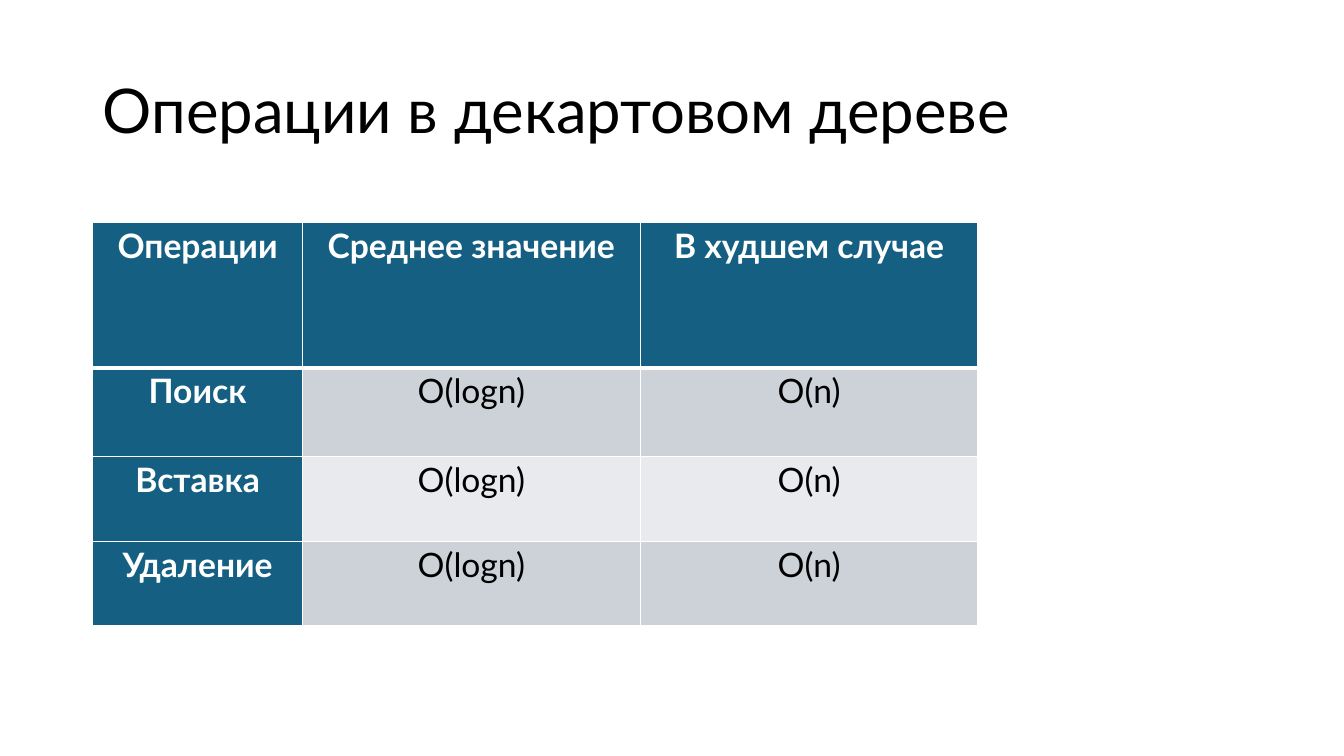
from lxml.etree import SubElement
from pptx import Presentation
from pptx.dml.color import RGBColor
from pptx.enum.text import MSO_ANCHOR, PP_ALIGN
from pptx.oxml.ns import qn
from pptx.util import Inches, Pt

BLACK = RGBColor(0x00, 0x00, 0x00)
WHITE = RGBColor(0xFF, 0xFF, 0xFF)
TEAL = RGBColor(0x15, 0x60, 0x82)
BANDS = (RGBColor(0xCC, 0xD2, 0xD8), RGBColor(0xE8, 0xEA, 0xED))

FONT = "Lato"
WIDTH, HEIGHT = Inches(13.33), Inches(7.5)
LEFT = Inches(0.92)
COLUMNS = (2.08, 3.35, 3.35)
ROWS = (1.44, 0.88, 0.84, 0.84)

TITLE = "Операции в декартовом дереве"
HEADER = ("Операции", "Среднее значение", "В худшем случае")
OPERATIONS = ("Поиск", "Вставка", "Удаление")
COMPLEXITY = ("O(logn)", "O(n)")

CELL_MARGINS = {
    "margin_left": Inches(0.07), "margin_right": Inches(0.07),
    "margin_top": 0, "margin_bottom": 0,
}
CELL_PARAGRAPH = {
    "alignment": PP_ALIGN.CENTER, "line_spacing": 1.07, "space_after": Pt(8),
}


def set_attributes(target, values):
    for name, value in values.items():
        setattr(target, name, value)


def write(tf, text, size, color, bold, paragraph):
    """Put one formatted run into a text frame."""
    p = tf.paragraphs[0]
    set_attributes(p, paragraph)
    r = p.add_run()
    r.text = text
    set_attributes(r.font, {"name": FONT, "size": Pt(size), "bold": bold})
    r.font.color.rgb = color


def add_title(s):
    sp = s.shapes.title
    set_attributes(sp, {
        "left": LEFT, "top": Inches(0.4),
        "width": Inches(11.5), "height": Inches(1.45),
    })
    sp.text_frame.vertical_anchor = MSO_ANCHOR.MIDDLE
    sp.text_frame.word_wrap = True
    write(sp.text_frame, TITLE, 44, BLACK, False,
          {"alignment": PP_ALIGN.LEFT, "line_spacing": 0.9})


def set_borders(cell, widths):
    """Draw white borders; widths maps a side (L, R, T, B) to points."""
    tc_pr = cell._tc.get_or_add_tcPr()
    for side, width in widths.items():
        line = SubElement(tc_pr, qn(f"a:ln{side}"), w=str(Pt(width)))
        fill = SubElement(line, qn("a:solidFill"))
        SubElement(fill, qn("a:srgbClr"), val=str(WHITE))


def format_cell(cell, text, row, col):
    heading = row == 0 or col == 0
    set_attributes(cell, CELL_MARGINS)
    set_borders(cell, {
        "L": 1, "R": 1,
        "T": 3 if row == 1 else 1,
        "B": 3 if row == 0 else 1,
    })
    cell.fill.solid()
    cell.fill.fore_color.rgb = TEAL if heading else BANDS[(row - 1) % 2]
    write(cell.text_frame, text, 24, WHITE if heading else BLACK,
          heading, CELL_PARAGRAPH)


def add_complexity_table(s):
    content = [HEADER] + [(name, *COMPLEXITY) for name in OPERATIONS]
    table = s.shapes.add_table(
        len(ROWS), len(COLUMNS), LEFT, Inches(2.21),
        Inches(sum(COLUMNS)), Inches(sum(ROWS))).table
    for column, width in zip(table.columns, COLUMNS):
        column.width = Inches(width)
    for row, height in zip(table.rows, ROWS):
        row.height = Inches(height)
    for i, texts in enumerate(content):
        for j, text in enumerate(texts):
            format_cell(table.cell(i, j), text, i, j)


def main():
    prs = Presentation()
    prs.slide_width, prs.slide_height = WIDTH, HEIGHT
    s = prs.slides.add_slide(prs.slide_layouts.get_by_name("Title Only"))
    s.background.fill.solid()
    s.background.fill.fore_color.rgb = WHITE
    add_title(s)
    add_complexity_table(s)
    prs.save("out.pptx")


if __name__ == "__main__":
    main()
